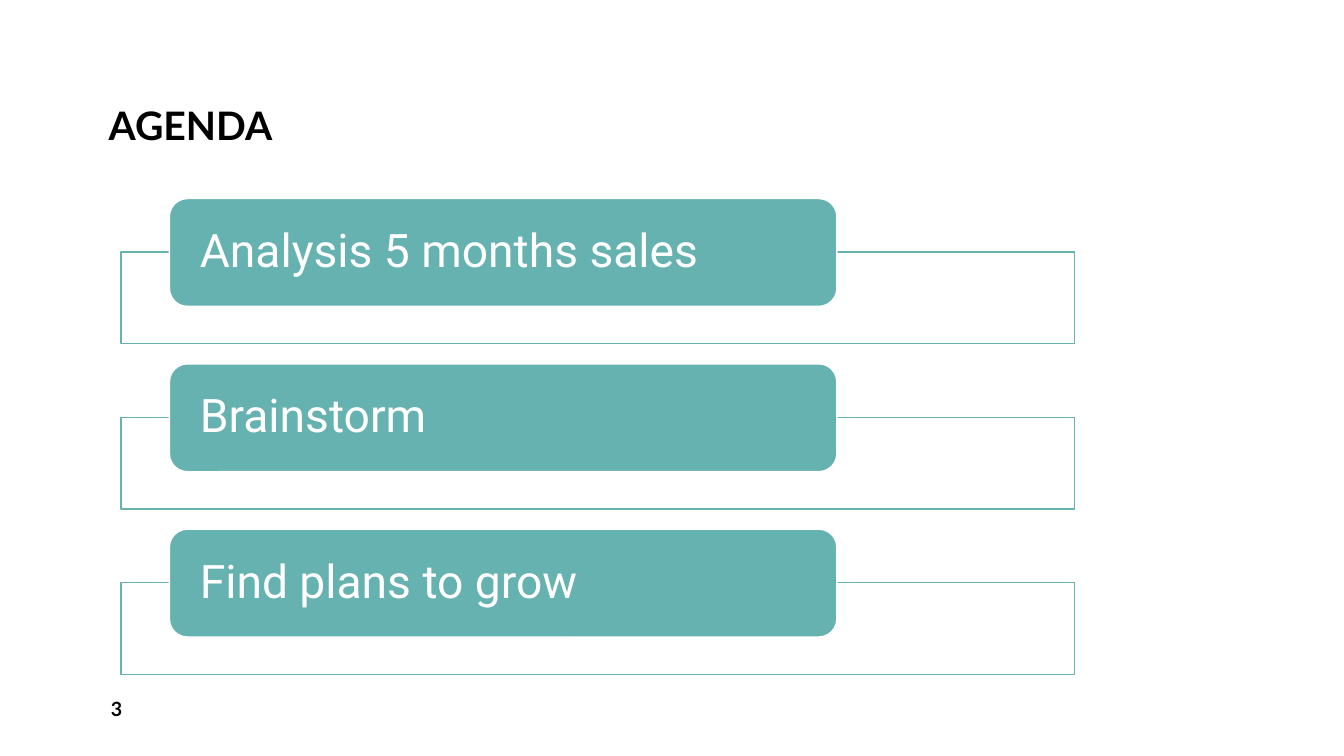
from pptx import Presentation, util as u
from pptx.dml.color import RGBColor
from pptx.enum import shapes, text

WIDTH, HEIGHT = 13.33, 7.5
TEAL, WHITE, BLACK = "66B2B0", "FFFFFF", "000000"
TOPICS = ["Analysis 5 months sales", "Brainstorm", "Find plans to grow"]
FIRST_ROW, ROW_PITCH = 1.97, 1.64
FRAME_DROP = 0.53


def paint(color_format, hex_color):
    color_format.rgb = RGBColor.from_string(hex_color)


def write(holder, words, font, size, color, anchor, bold=False, spacing=1.0):
    frame = holder.text_frame
    frame.word_wrap = True
    frame.vertical_anchor = anchor
    line = frame.paragraphs[0]
    line.alignment = text.PP_ALIGN.LEFT
    line.line_spacing = spacing
    run = line.add_run()
    run.text = words
    run.font.name = font
    run.font.size = u.Pt(size)
    run.font.bold = bold
    paint(run.font.color, color)


def add_label(slide, box, words, size, anchor, spacing=1.0):
    label = slide.shapes.add_textbox(*map(u.Inches, box))
    write(label, words, "Lato", size, BLACK, anchor, True, spacing)


def add_panel(slide, kind, box, fill, outline):
    panel = slide.shapes.add_shape(kind, *map(u.Inches, box))
    panel.shadow.inherit = False
    panel.fill.solid()
    paint(panel.fill.fore_color, fill)
    paint(panel.line.color, outline)
    panel.line.width = u.Pt(1)
    return panel


def add_topic(slide, row, words):
    top = FIRST_ROW + row * ROW_PITCH
    add_panel(slide, shapes.MSO_SHAPE.RECTANGLE,
              (1.2, top + FRAME_DROP, 9.46, 0.91), WHITE, TEAL)
    banner = add_panel(slide, shapes.MSO_SHAPE.ROUNDED_RECTANGLE,
                       (1.68, top, 6.62, 1.07), TEAL, WHITE)
    frame = banner.text_frame
    frame.margin_left = frame.margin_right = u.Inches(0.25)
    frame.margin_top = frame.margin_bottom = 0
    write(banner, words, "Roboto", 33, WHITE, text.MSO_ANCHOR.MIDDLE, spacing=0.9)


def main():
    deck = Presentation()
    deck.slide_width, deck.slide_height = u.Inches(WIDTH), u.Inches(HEIGHT)
    agenda = deck.slides.add_slide(deck.slide_layouts[6])
    add_label(agenda, (0.98, 0.08, 9.07, 1.45), "AGENDA", 28,
              text.MSO_ANCHOR.BOTTOM, 0.9)
    add_label(agenda, (1, 6.83, 2.92, 0.4), "3", 14, text.MSO_ANCHOR.MIDDLE)
    for row, topic in enumerate(TOPICS):
        add_topic(agenda, row, topic)
    deck.save("out.pptx")


if __name__ == "__main__":
    main()
